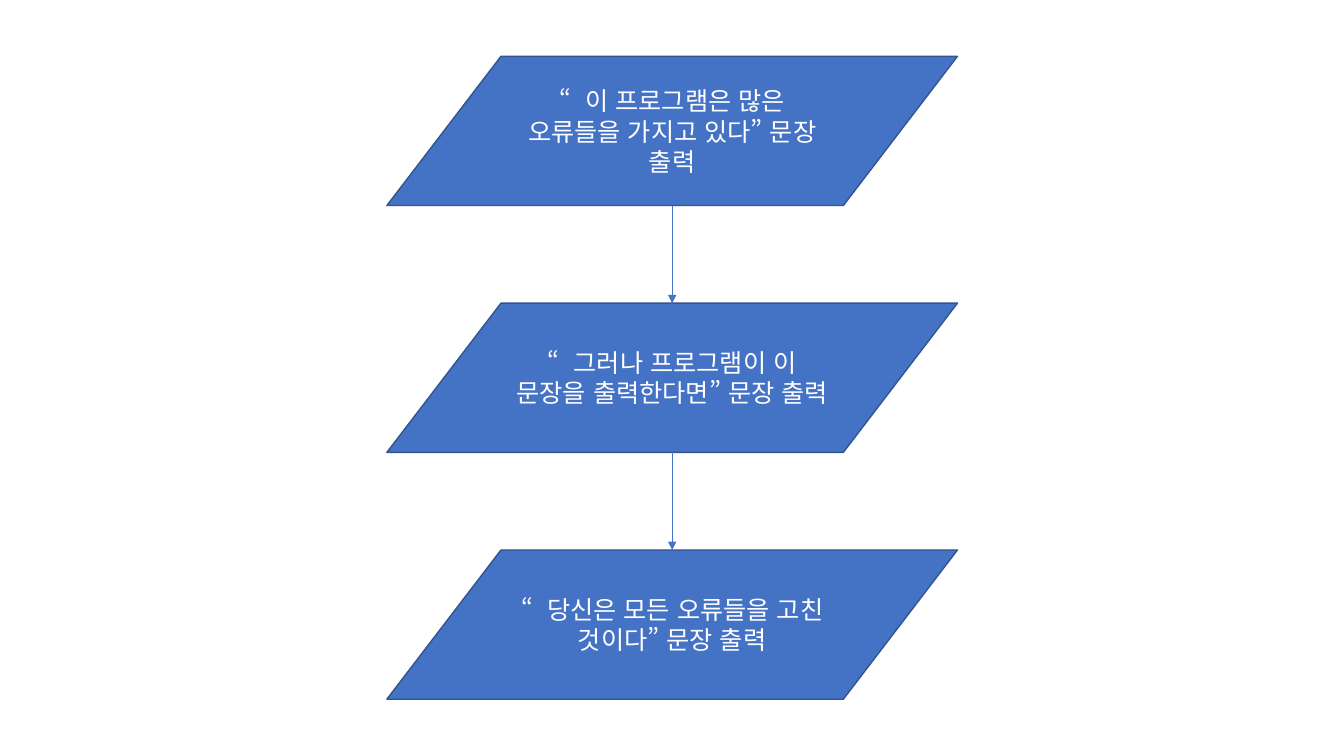
from lxml import etree
from pptx import Presentation
from pptx.dml.color import RGBColor
from pptx.enum.lang import MSO_LANGUAGE_ID
from pptx.enum.shapes import MSO_CONNECTOR, MSO_SHAPE
from pptx.enum.text import MSO_ANCHOR, PP_ALIGN
from pptx.oxml.ns import qn
from pptx.util import Cm, Pt

OUTPUT_STEP = MSO_SHAPE.FLOWCHART_DATA
STRAIGHT = MSO_CONNECTOR.STRAIGHT
MIDDLE = MSO_ANCHOR.MIDDLE
CENTER = PP_ALIGN.CENTER
KOREAN = MSO_LANGUAGE_ID.KOREAN

FONT = "Noto Sans CJK KR"
BLUE = "4472C4"
DARK_BLUE = "325491"
WHITE = "FFFFFF"
OPENING_QUOTE = "“"
QUOTE_SPACING = "1000"

SENTENCES = [
    "이 프로그램은 많은 오류들을 가지고 있다” 문장 출력",
    "그러나 프로그램이 이 문장을 출력한다면” 문장 출력",
    "당신은 모든 오류들을 고친 것이다” 문장 출력",
]


def paint(color_format, color):
    color_format.rgb = RGBColor.from_string(color)


def format_run(run):
    font = run.font
    font.size = Pt(18)
    font.name = FONT
    font.language_id = KOREAN
    paint(font.color, WHITE)
    etree.SubElement(font._element, qn("a:ea")).set("typeface", FONT)


def add_step(slide, sentence, left, top, width, height):
    step = slide.shapes.add_shape(OUTPUT_STEP, left, top, width, height)
    step.shadow.inherit = False
    step.fill.solid()
    paint(step.fill.fore_color, BLUE)
    paint(step.line.color, DARK_BLUE)
    step.line.width = Pt(1)
    frame = step.text_frame
    frame.word_wrap = True
    frame.vertical_anchor = MIDDLE
    frame.text = OPENING_QUOTE
    paragraph = frame.paragraphs[0]
    paragraph.alignment = CENTER
    paragraph.add_run().text = sentence
    for run in paragraph.runs:
        format_run(run)
    paragraph.runs[0].font._element.set("spc", QUOTE_SPACING)


def add_arrow(slide, x, start, end):
    arrow = slide.shapes.add_connector(STRAIGHT, x, start, x, end)
    paint(arrow.line.color, BLUE)
    arrow.line.width = Pt(0.5)
    outline = arrow.line._get_or_add_ln()
    etree.SubElement(outline, qn("a:tailEnd")).set("type", "triangle")
    etree.SubElement(arrow._element.spPr, qn("a:effectLst"))


def add_flowchart(slide, left, top, width, height):
    step_height = Cm(3.76)
    pitch = (height - step_height) // (len(SENTENCES) - 1)
    tops = [top + index * pitch for index in range(len(SENTENCES))]
    for sentence, step_top in zip(SENTENCES, tops):
        add_step(slide, sentence, left, step_top, width, step_height)
    for step_top, next_top in zip(tops, tops[1:]):
        add_arrow(slide, left + width // 2, step_top + step_height, next_top)


def main():
    presentation = Presentation()
    presentation.slide_width = Cm(33.87)
    presentation.slide_height = Cm(19.05)
    slide = presentation.slides.add_slide(presentation.slide_layouts[6])
    add_flowchart(slide, Cm(9.75), Cm(1.42), Cm(14.38), Cm(16.2))
    presentation.save("out.pptx")


if __name__ == "__main__":
    main()
